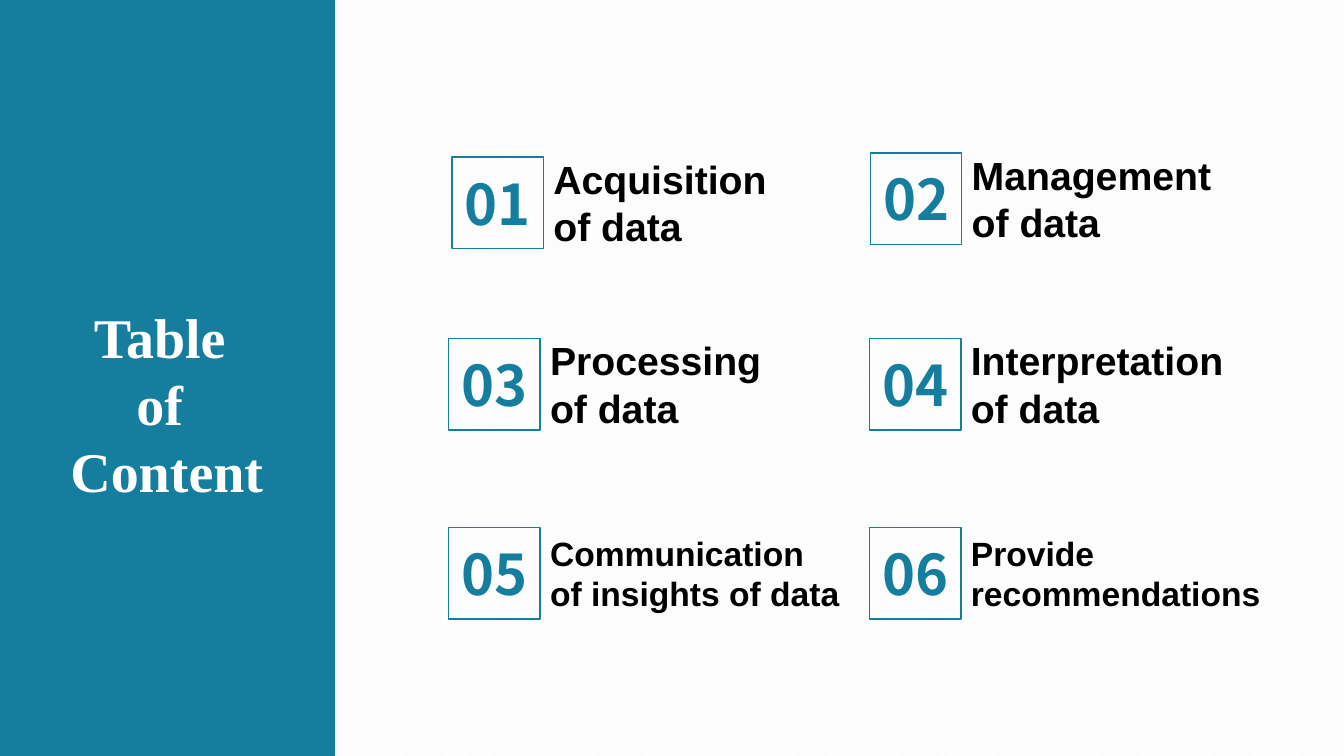
from dataclasses import dataclass

from pptx import Presentation
from pptx.dml.color import RGBColor
from pptx.enum.dml import MSO_PATTERN
from pptx.enum.shapes import MSO_SHAPE
from pptx.enum.text import MSO_ANCHOR as Anchor, MSO_AUTO_SIZE as AutoSize, PP_ALIGN as Align
from pptx.util import Inches, Pt


@dataclass(frozen=True)
class Theme:
    teal: RGBColor = RGBColor.from_string("157E9F")
    black: RGBColor = RGBColor.from_string("000000")
    white: RGBColor = RGBColor.from_string("FFFFFF")
    stripe: RGBColor = RGBColor.from_string("F2F2F2")
    title_font: str = "Times New Roman"
    label_font: str = "Arial"
    number_font: str = "Noto Sans CJK SC"
    display: int = 40
    large: int = 28
    medium: int = 24
    outline: int = 1


class AgendaSlide:
    """Places elements on a grid of 16 columns by 9 rows."""
    COLUMNS, ROWS = 16, 9

    def __init__(self, deck, theme):
        self.theme = theme
        self.column = deck.slide_width / self.COLUMNS
        self.row = deck.slide_height / self.ROWS
        self.page = deck.slides.add_slide(deck.slide_layouts[5])

    def area(self, left, top, width, height):
        return (round(left * self.column), round(top * self.row),
                round(width * self.column), round(height * self.row))

    def background(self):
        fill = self.page.background.fill
        fill.patterned()
        fill.pattern = MSO_PATTERN.DARK_DOWNWARD_DIAGONAL
        fill.fore_color.rgb = self.theme.stripe
        fill.back_color.rgb = self.theme.white

    def rectangle(self, *area, filled=False):
        box = self.page.shapes.add_shape(MSO_SHAPE.RECTANGLE, *self.area(*area))
        box.shadow.inherit = False
        if filled:
            box.fill.solid()
            box.fill.fore_color.rgb = self.theme.teal
        else:
            box.fill.background()
        box.line.color.rgb = self.theme.teal
        box.line.width = Pt(self.theme.outline)
        return box

    def set_text(self, box, text, font, size, color, align):
        frame = box.text_frame
        frame.text = text
        frame.word_wrap = True
        frame.auto_size = AutoSize.NONE
        frame.vertical_anchor = Anchor.TOP
        for para in frame.paragraphs:
            para.alignment = align
            for span in para.runs:
                span.font.name = font
                span.font.size = Pt(size)
                span.font.bold = True
                span.font.color.rgb = color

    def text(self, area, *style):
        self.set_text(self.page.shapes.add_textbox(*self.area(*area)), *style)

    def title(self, text, panel, *area):
        box = self.page.shapes.title
        box.left, box.top, box.width, box.height = self.area(*area)
        panel.element.addnext(box.element)  # keeps the title in front of the panel
        self.set_text(box, text, self.theme.title_font, self.theme.display,
                      self.theme.white, Align.CENTER)

    def entry(self, number, label, left, top, label_width, size):
        theme, side = self.theme, 1.09
        number_height = 0.92
        label_height = 1.25 if size == theme.large else side
        self.rectangle(left, top, side, side)
        self.text((left, top + (side - number_height) / 2, side, number_height),
                  f"{number:02}", theme.number_font, theme.display, theme.teal, Align.CENTER)
        self.text((left + side, top + (side - label_height) / 2, label_width, label_height),
                  label, theme.label_font, size, theme.black, Align.LEFT)


def main():
    deck = Presentation()
    deck.slide_width, deck.slide_height = Inches(13.33), Inches(7.5)
    theme = Theme()
    slide = AgendaSlide(deck, theme)
    slide.background()

    # Side panel with the title
    panel = slide.rectangle(0, 0, 3.98, slide.ROWS, filled=True)
    slide.title("Table \nof \nContent", panel, 0.07, 3.54, 3.83, 2.54)

    # Agenda entries: label, left, top, label width, type size
    entries = [
        ("Acquisition of data", 5.38, 1.87, 3.14, theme.large),
        ("Management of data", 10.36, 1.82, 3.14, theme.large),
        ("Processing of data", 5.34, 4.03, 3.14, theme.large),
        ("Interpretation of data", 10.35, 4.03, 3.53, theme.large),
        ("Communication\nof insights of data", 5.34, 6.28, 3.79, theme.medium),
        ("Provide recommendations", 10.35, 6.28, 3.79, theme.medium),
    ]
    for number, entry in enumerate(entries, start=1):
        slide.entry(number, *entry)

    deck.save("out.pptx")


if __name__ == "__main__":
    main()
